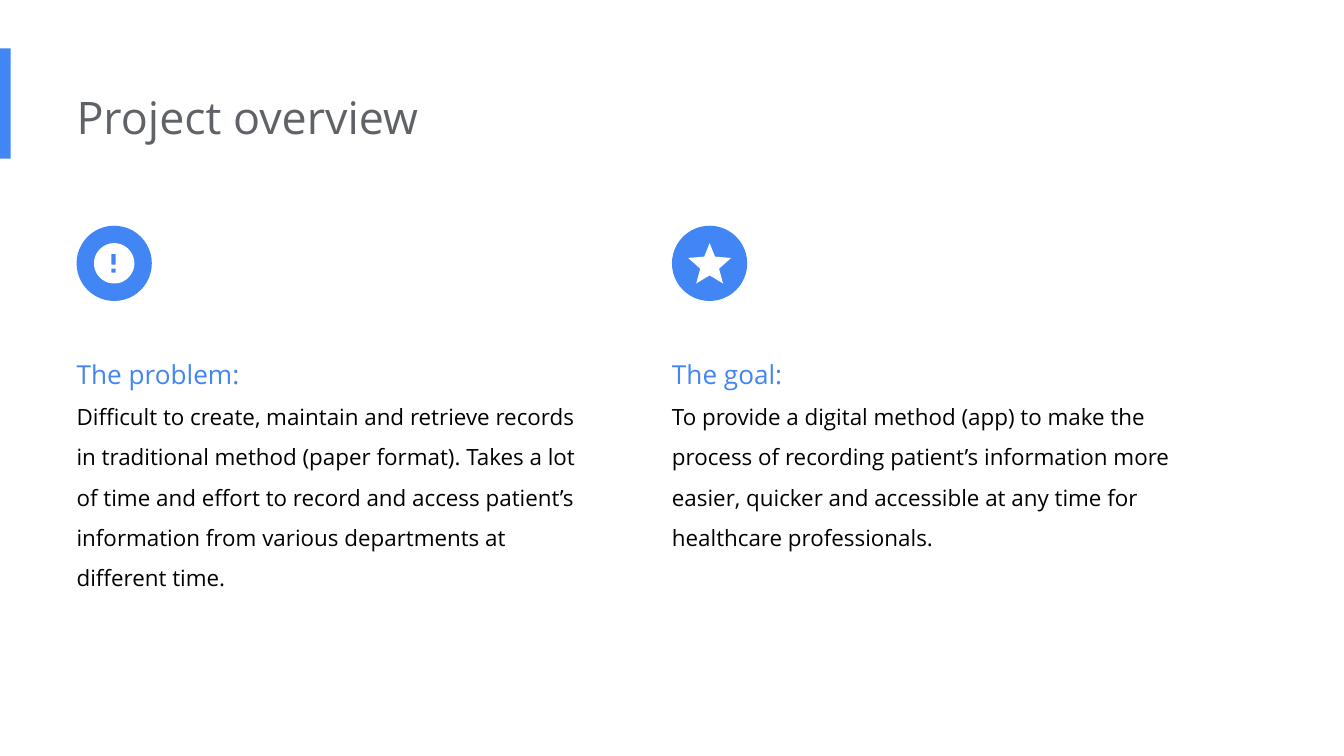
import math

from pptx import Presentation
from pptx import util as u
from pptx.dml.color import RGBColor
from pptx.enum import shapes, text

BLUE = RGBColor(0x42, 0x85, 0xF4)
GRAY = RGBColor(0x5F, 0x63, 0x68)
BLACK = RGBColor(0, 0, 0)
WHITE = RGBColor(255, 255, 255)

SLIDE_WIDTH = 10
LEFT_COLUMN, RIGHT_COLUMN = 0.57, 5
BADGE_TOP, BADGE_SIZE = 1.68, 0.56
COLUMN_TOP, COLUMN_WIDTH = 2.45, 3.96

STAR = [(5.28, 2.05), (5.38, 2.11), (5.35, 2), (5.44, 1.92), (5.32, 1.91),
        (5.28, 1.81), (5.24, 1.91), (5.12, 1.92), (5.21, 2), (5.18, 2.11)]


def circle(center_x, center_y, radius, steps=72):
    angles = [2 * math.pi * step / steps for step in range(steps)]
    return [(center_x + radius * math.sin(a), center_y - radius * math.cos(a)) for a in angles]


def box(left, top, right, bottom):
    """Corners run against the circle's direction, so the box cuts a hole in it."""
    return [(left, top), (left, bottom), (right, bottom), (right, top)]


class OverviewSlide:
    font_name = "Open Sans"
    frame_format = {
        "word_wrap": True,
        "auto_size": text.MSO_AUTO_SIZE.SHAPE_TO_FIT_TEXT,
        "margin_left": 0,
        "margin_top": u.Inches(0.1),
        "margin_right": u.Inches(0.1),
        "margin_bottom": u.Inches(0.1),
    }

    def __init__(self, slide):
        self.shapes = slide.shapes

    def paint(self, shape, color):
        shape.shadow.inherit = False
        shape.fill.solid()
        shape.fill.fore_color.rgb = color
        shape.line.fill.background()

    def preset(self, kind, left, top, width, height, color):
        shape = self.shapes.add_shape(kind, *map(u.Inches, (left, top, width, height)))
        self.paint(shape, color)

    def badge(self, left):
        self.preset(shapes.MSO_SHAPE.OVAL, left, BADGE_TOP, BADGE_SIZE, BADGE_SIZE, BLUE)

    def outline(self, contours, color):
        """Draw closed contours, given in inches, as one shape."""
        scaled = [[(u.Inches(x), u.Inches(y)) for x, y in contour] for contour in contours]
        builder = self.shapes.build_freeform(*scaled[0][0])
        for index, (start, *rest) in enumerate(scaled):
            if index:
                builder.move_to(*start)
            builder.add_line_segments(rest, close=True)
        self.paint(builder.convert_to_shape(), color)

    def words(self, left, top, width, height, paragraphs, line_spacing=None):
        """Add a text box; each paragraph is (wording, point size, colour)."""
        frame = self.shapes.add_textbox(*map(u.Inches, (left, top, width, height))).text_frame
        for key, value in self.frame_format.items():
            setattr(frame, key, value)
        for index, (wording, size, color) in enumerate(paragraphs):
            paragraph = frame.add_paragraph() if index else frame.paragraphs[0]
            paragraph.line_spacing = line_spacing
            run = paragraph.add_run()
            run.text = wording
            for key, value in {"name": self.font_name, "size": u.Pt(size)}.items():
                setattr(run.font, key, value)
            run.font.color.rgb = color

    def column(self, left, height, heading, body):
        self.words(left, COLUMN_TOP, COLUMN_WIDTH, height,
                   [(heading, 14, BLUE), (body, 12, BLACK)], line_spacing=1.5)
        self.badge(left)


def main():
    presentation = Presentation()
    presentation.slide_width = u.Inches(SLIDE_WIDTH)
    presentation.slide_height = u.Inches(SLIDE_WIDTH * 9 / 16)
    overview = OverviewSlide(presentation.slides.add_slide(presentation.slide_layouts[6]))

    overview.preset(shapes.MSO_SHAPE.RECTANGLE, 0, 0.36, 0.08, 0.82, BLUE)
    overview.words(LEFT_COLUMN, 0.57, 6.73, 0.61, [("Project overview", 24, GRAY)])
    overview.column(
        LEFT_COLUMN, 2.07, "The problem:",
        "Difficult to create, maintain and retrieve records in traditional method "
        "(paper format). Takes a lot of time and effort to record and access patient’s "
        "information from various departments at different time.")
    overview.column(
        RIGHT_COLUMN, 1.77, "The goal:",
        "To provide a digital method (app) to make the process of recording patient’s "
        "information more easier, quicker and accessible at any time for healthcare "
        "professionals.")
    overview.outline([STAR], WHITE)
    overview.outline([circle(0.85, 1.96, 0.15), box(0.83, 1.89, 0.86, 1.97),
                      box(0.83, 2, 0.86, 2.03)], WHITE)

    presentation.save("out.pptx")


if __name__ == "__main__":
    main()
